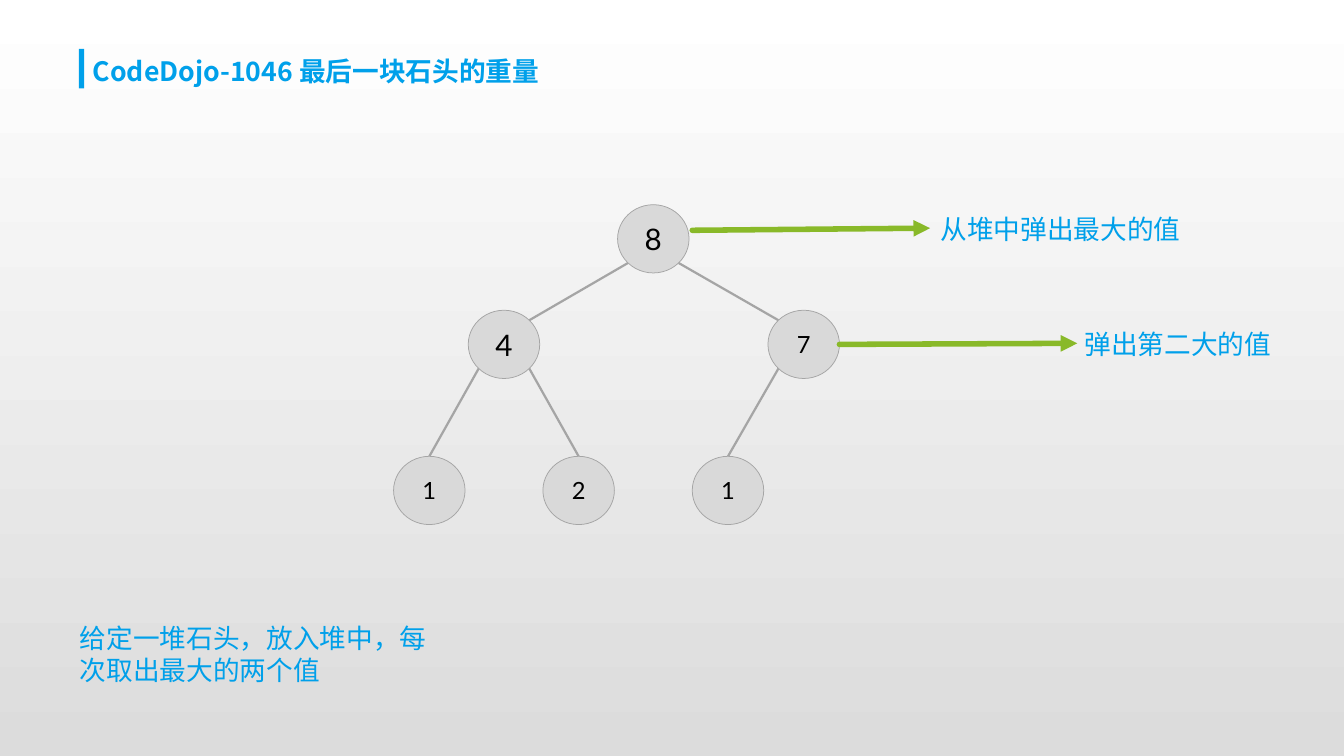
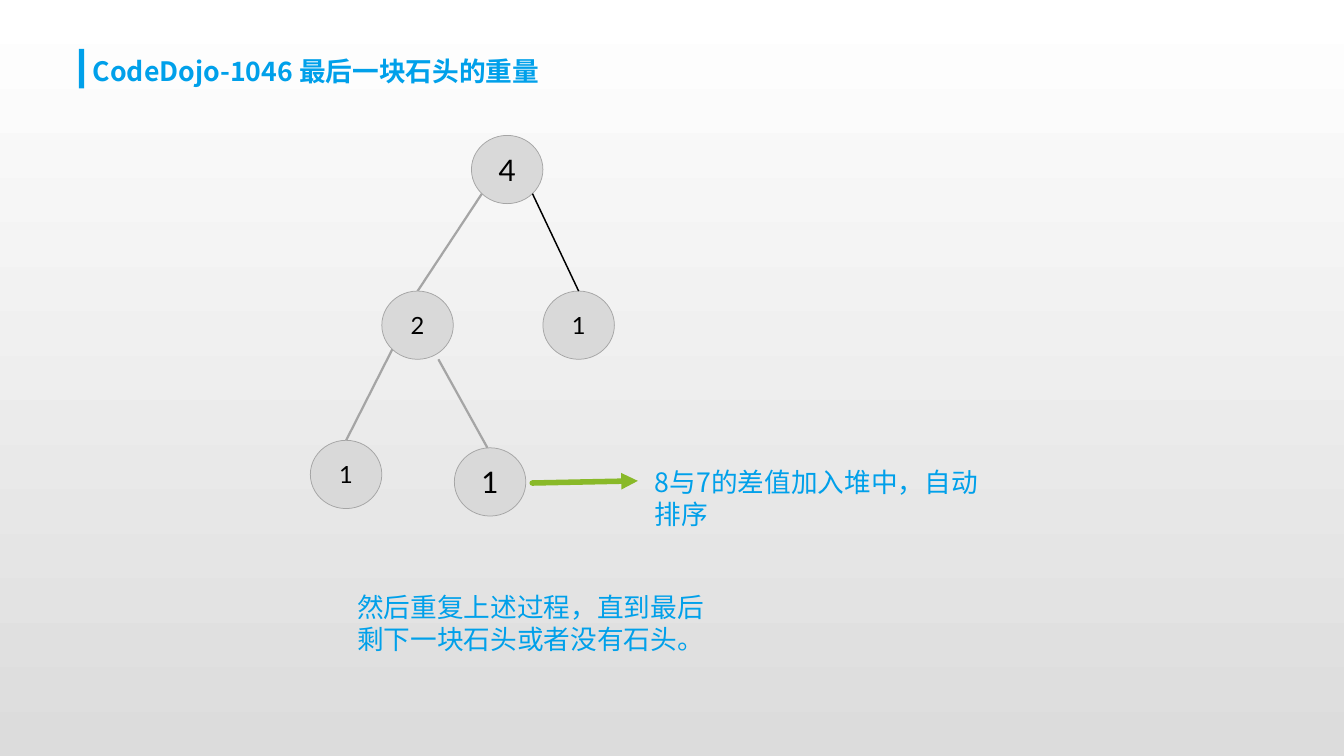
"""Build two slides that solve the last-stone-weight problem with a heap."""
from dataclasses import dataclass
from math import hypot

from lxml.etree import SubElement
from pptx import Presentation
from pptx.dml.color import RGBColor
from pptx.enum.shapes import MSO_CONNECTOR, MSO_SHAPE
from pptx.enum.text import MSO_ANCHOR, MSO_AUTO_SIZE, PP_ALIGN
from pptx.oxml.ns import qn
from pptx.util import Inches, Pt


@dataclass(frozen=True)
class Theme:
    """Colours, fonts and sizes shared by both slides."""
    accent: RGBColor = RGBColor(0x00, 0xA0, 0xEA)
    arrow: RGBColor = RGBColor(0x89, 0xB9, 0x29)
    stone: RGBColor = RGBColor(0xD9, 0xD9, 0xD9)
    edge: RGBColor = RGBColor(0xA5, 0xA5, 0xA5)
    ink: RGBColor = RGBColor(0x00, 0x00, 0x00)
    sky: RGBColor = RGBColor(0xFF, 0xFF, 0xFF)
    ground: RGBColor = RGBColor(0xDC, 0xDC, 0xDC)
    title_font: str = "Noto Sans CJK JP"
    label_font: str = "Noto Sans CJK SC"
    note_font: str = "Arial"
    stone_font: str = "Lato"
    text_size: float = 18
    line_height: float = 21.6
    stone_size: float = 16
    large_stone_size: float = 20


@dataclass(frozen=True)
class Stone:
    """A heap node with its weight and top left corner in inches."""
    weight: int
    left: float
    top: float
    large: bool = False

    def rim(self, side):
        """Return the point on the outline in the direction of side."""
        across, down = side
        reach = hypot(across, down)
        return (self.left + STONE_WIDTH / 2 * (1 + across / reach),
                self.top + STONE_HEIGHT / 2 * (1 + down / reach))


THEME = Theme()
TITLE = "CodeDojo-1046 最后一块石头的重量"
STONE_WIDTH, STONE_HEIGHT = 0.67, 0.64
TOP, TOP_LEFT, TOP_RIGHT = (0, -1), (-1, -1), (1, -1)
BOTTOM_LEFT, BOTTOM_RIGHT = (-1, 1), (1, 1)


def inches(*lengths):
    """Convert plain numbers to lengths."""
    return [Inches(length) for length in lengths]


def style_text(paragraph, font_name, size, color, east_asian=None):
    """Set the type of a whole paragraph."""
    font = paragraph.font
    font.name, font.size = font_name, Pt(size)
    font.color.rgb = color
    if east_asian:
        typeface = SubElement(paragraph._p.pPr.find(qn("a:defRPr")), qn("a:ea"))
        typeface.set("typeface", east_asian)


def paint_background(deck):
    """Give every slide the same vertical gradient."""
    fill = deck.slide_master.background.fill
    fill.gradient()
    fill.gradient_angle = 270
    for stop, color in zip(fill.gradient_stops, (THEME.sky, THEME.ground)):
        stop.color.rgb = color


def add_titled_slide(deck):
    """Add a slide with the shared title and its accent bar."""
    slide = deck.slides.add_slide(deck.slide_layouts[5])
    title = slide.shapes.title
    title.left, title.top, title.width, title.height = inches(0.77, 0.46, 6.29, 0.4)
    frame = title.text_frame
    frame.text = TITLE
    frame.auto_size = MSO_AUTO_SIZE.NONE
    frame.vertical_anchor = MSO_ANCHOR.TOP
    heading = frame.paragraphs[0]
    heading.alignment = PP_ALIGN.LEFT
    heading.line_spacing = Pt(THEME.line_height)
    style_text(heading, THEME.title_font, THEME.text_size, THEME.accent, THEME.title_font)
    heading.font.bold = True
    bar = slide.shapes.add_shape(MSO_SHAPE.RECTANGLE, *inches(0.74, 0.46, 0.05, 0.37))
    bar.shadow.inherit = False
    bar.fill.solid()
    bar.fill.fore_color.rgb = THEME.accent
    bar.line.fill.background()
    return slide


def add_line(slide, start, end, color=THEME.edge, width=1.5):
    """Draw a straight line without a shadow and return its outline element."""
    line = slide.shapes.add_connector(MSO_CONNECTOR.STRAIGHT, *inches(*start, *end))
    line.line.color.rgb = color
    line.line.width = Pt(width)
    properties = line._element.spPr
    SubElement(properties, qn("a:effectLst"))
    return properties.find(qn("a:ln"))


def add_arrow(slide, start, end):
    """Draw a thick arrow with a round cap."""
    outline = add_line(slide, start, end, THEME.arrow, 3.75)
    outline.set("cap", "rnd")
    SubElement(outline, qn("a:tailEnd")).set("type", "triangle")


def add_stone(slide, stone):
    """Draw one heap node."""
    circle = slide.shapes.add_shape(
        MSO_SHAPE.OVAL, *inches(stone.left, stone.top, STONE_WIDTH, STONE_HEIGHT))
    circle.shadow.inherit = False
    circle.fill.solid()
    circle.fill.fore_color.rgb = THEME.stone
    circle.line.color.rgb = THEME.edge
    circle.line.width = Pt(0.5)
    frame = circle.text_frame
    frame.text = str(stone.weight)
    frame.vertical_anchor = MSO_ANCHOR.MIDDLE
    weight = frame.paragraphs[0]
    weight.alignment = PP_ALIGN.CENTER
    size = THEME.large_stone_size if stone.large else THEME.stone_size
    style_text(weight, THEME.stone_font, size, THEME.ink)


def add_heap(slide, stones, branches):
    """Draw the branches between stones, then the stones."""
    for parent, parent_side, child, child_side in branches:
        add_line(slide, parent.rim(parent_side), child.rim(child_side))
    for stone in stones:
        add_stone(slide, stone)


def add_label(slide, text, box, font_name=THEME.label_font):
    """Add wrapped accent text and return its frame."""
    frame = slide.shapes.add_textbox(*inches(*box)).text_frame
    frame.word_wrap = True
    frame.auto_size = MSO_AUTO_SIZE.SHAPE_TO_FIT_TEXT
    frame.text = text
    label = frame.paragraphs[0]
    label.line_spacing = Pt(THEME.line_height)
    style_text(label, font_name, THEME.text_size, THEME.accent, THEME.label_font)
    return frame


def add_note(slide, text, left, top):
    """Add the explanation below the heap."""
    frame = add_label(slide, text, (left, top, 3.61, 0.78), THEME.note_font)
    frame.vertical_anchor = MSO_ANCHOR.MIDDLE
    frame.margin_top, frame.margin_bottom = inches(0, 0.17)


def build_pop_slide(deck):
    """Show the two largest stones leaving the heap."""
    slide = add_titled_slide(deck)
    root = Stone(8, 5.79, 1.92, large=True)
    four, seven = Stone(4, 4.39, 2.91, large=True), Stone(7, 7.2, 2.91)
    leaves = [Stone(weight, 3.69 + 1.4 * place, 4.28)
              for place, weight in enumerate((1, 2, 1))]
    add_heap(slide, [root, four, seven, *leaves], [
        (root, BOTTOM_LEFT, four, TOP_RIGHT),
        (root, BOTTOM_RIGHT, seven, TOP_LEFT),
        (four, BOTTOM_LEFT, leaves[0], TOP),
        (four, BOTTOM_RIGHT, leaves[1], TOP),
        (seven, BOTTOM_LEFT, leaves[2], TOP),
    ])
    add_note(slide, "给定一堆石头，放入堆中，每次取出最大的两个值", 0.65, 5.83)
    add_arrow(slide, (6.49, 2.16), (8.72, 2.14))
    add_label(slide, "从堆中弹出最大的值", (8.72, 1.95, 2.95, 0.4))
    add_arrow(slide, (7.87, 3.23), (10.1, 3.22))
    add_label(slide, "弹出第二大的值", (10.07, 3.03, 2.05, 0.4))


def build_push_slide(deck):
    """Show the difference of the two stones entering the heap."""
    slide = add_titled_slide(deck)
    root = Stone(4, 4.42, 1.27, large=True)
    two, one = Stone(2, 3.58, 2.73), Stone(1, 5.09, 2.73)
    leaf, difference = Stone(1, 2.91, 4.13), Stone(1, 4.26, 4.2, large=True)
    add_heap(slide, [root, two, one, leaf, difference], [
        (root, BOTTOM_LEFT, two, TOP),
        (two, BOTTOM_LEFT, leaf, TOP),
    ])
    add_line(slide, root.rim(BOTTOM_RIGHT), one.rim(TOP), THEME.ink, 1)
    add_line(slide, (4.11, 3.37), (4.57, 4.2))
    add_note(slide, "然后重复上述过程，直到最后剩下一块石头或者没有石头。", 3.25, 5.54)
    add_arrow(slide, (4.99, 4.53), (5.98, 4.51))
    add_label(slide, "8与7的差值加入堆中，自动排序", (6.04, 4.32, 3.32, 0.71))


def main():
    """Build and save the deck."""
    deck = Presentation()
    deck.slide_width, deck.slide_height = inches(12.6, 7.09)
    paint_background(deck)
    build_pop_slide(deck)
    build_push_slide(deck)
    deck.save("out.pptx")


main()
